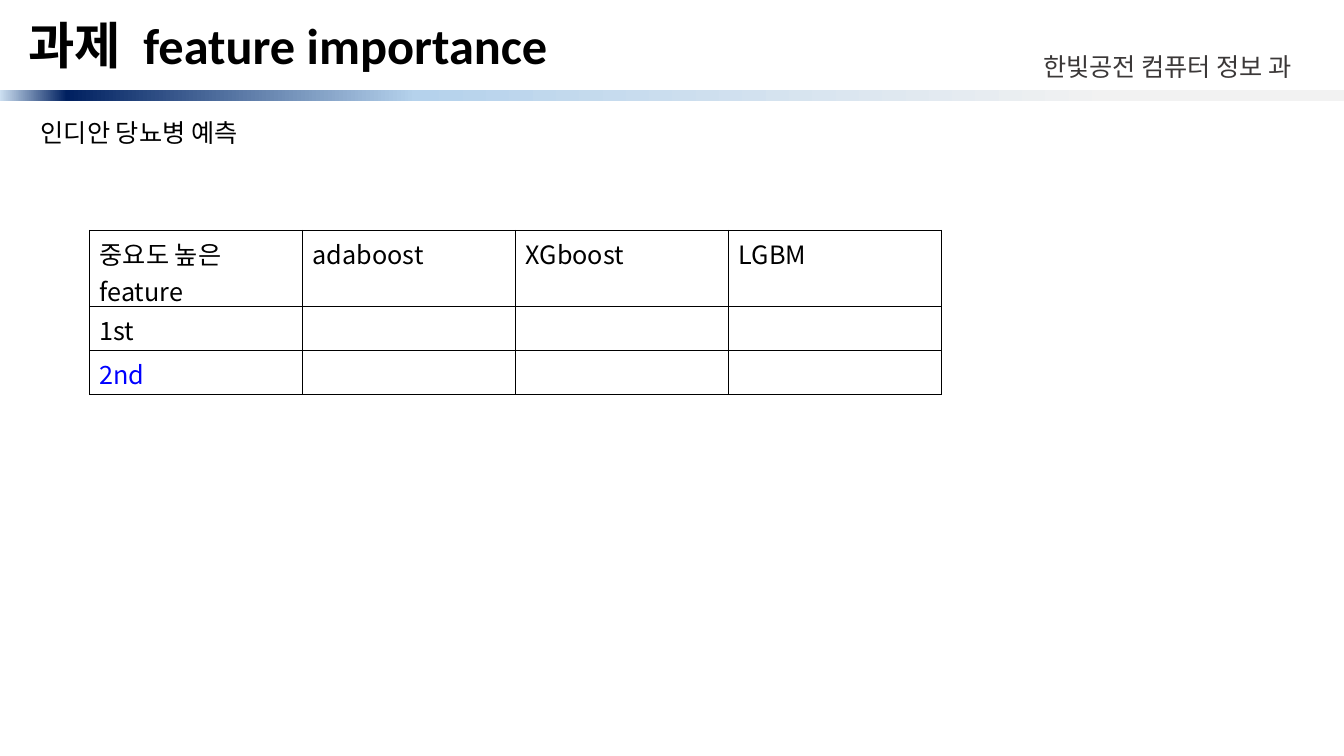
from dataclasses import dataclass

import lxml.etree
import pptx
import pptx.dml.color
import pptx.enum.shapes
import pptx.enum.text
import pptx.oxml
import pptx.oxml.ns
import pptx.util

Pt = pptx.util.Pt
RGB = pptx.dml.color.RGBColor.from_string
qn = pptx.oxml.ns.qn


@dataclass(frozen=True)
class Theme:
    white: str = "FFFFFF"
    ink: str = "000000"
    muted: str = "3B3838"
    accent: str = "0000FF"
    band: tuple = ((17, "F2F2F2"), (69, "B5D2EC"), (95, "002060"), (100, "CEE1F2"))
    title_size: int = 36
    body_size: int = 18
    title_font: str = "Calibri"
    header_font: str = "Arial"
    body_font: str = "Noto Sans CJK KR"


theme = Theme()


def style(paragraph, font, size, color, bold=False):
    paragraph.font.name = font
    paragraph.font.size = Pt(size)
    paragraph.font.color.rgb = RGB(color)
    paragraph.font.bold = bold


def add_label(left, top, width, height):
    """Add an empty wrapping text box and return its frame."""
    frame = slide.shapes.add_textbox(Pt(left), Pt(top), Pt(width), Pt(height)).text_frame
    frame.word_wrap = True
    return frame


deck = pptx.Presentation()
deck.slide_width, deck.slide_height = Pt(960), Pt(540)
slide = deck.slides.add_slide(deck.slide_layouts[6])
rectangle = pptx.enum.shapes.MSO_SHAPE.RECTANGLE

# Header
corner = slide.shapes.add_shape(rectangle, Pt(816.5), Pt(10), Pt(136), Pt(29))
corner.shadow.inherit = False
corner.fill.solid()
corner.fill.fore_color.rgb = RGB(theme.white)
corner.line.color.rgb = RGB(theme.white)
corner.line.width = Pt(1)

band = slide.shapes.add_shape(rectangle, Pt(-0.5), Pt(64), Pt(960.5), Pt(8.5))
band.shadow.inherit = False
band.line.fill.background()
band.fill.gradient()
band.fill.gradient_angle = 180
stops = band.element.spPr.find(".//" + qn("a:gsLst"))
for stop in list(stops):
    stops.remove(stop)
for position, color in theme.band:
    stop = lxml.etree.SubElement(stops, qn("a:gs"), pos=str(position * 1000))
    lxml.etree.SubElement(stop, qn("a:srgbClr"), val=color)

department = add_label(738, 33, 215, 29)
department.text = "한빛공전 컴퓨터 정보 과"
style(department.paragraphs[0], theme.header_font, theme.body_size, theme.muted)

title = add_label(8.5, 7, 951.5, 55.5)
title.margin_left = Pt(11.5)
title.vertical_anchor = pptx.enum.text.MSO_ANCHOR.MIDDLE
heading = title.paragraphs[0]
heading.line_spacing = 0.9
for part in ("과제", " ", "feature importance"):
    run = heading.add_run()
    run.text = part
    if part == " ":
        run.font.size = Pt(theme.title_size)
        run.font.bold = True
        run.font.name = theme.title_font
        run.font.color.rgb = RGB(theme.ink)
        run._r.get_or_add_rPr().set("spc", "800")  # widens the gap
style(heading, theme.title_font, theme.title_size, theme.ink, bold=True)

# Body
topic = add_label(22, 80.5, 179, 29)
topic.text = "인디안 당뇨병 예측"
style(topic.paragraphs[0], theme.body_font, theme.body_size, theme.ink)

rows = [
    ("중요도 높은\nfeature", "adaboost", "XGboost", "LGBM"),
    ("1st", "", "", ""),
    ("2nd", "", "", ""),
]
row_heights = (54, 31.5, 31.5)
column_width = 152.2
ranking = slide.shapes.add_table(
    len(rows), len(rows[0]), Pt(64), Pt(164.7),
    Pt(column_width * len(rows[0])), Pt(sum(row_heights)),
).table
ranking.first_row = ranking.horz_banding = False
for column in ranking.columns:
    column.width = Pt(column_width)
for row, height in zip(ranking.rows, row_heights):
    row.height = Pt(height)

for r, texts in enumerate(rows):
    for c, text in enumerate(texts):
        cell = ranking.cell(r, c)
        cell.text = text
        for paragraph in cell.text_frame.paragraphs:
            color = theme.accent if text == "2nd" else theme.ink
            style(paragraph, theme.body_font, theme.body_size, color)
        properties = cell._tc.get_or_add_tcPr()
        for side in ("a:lnL", "a:lnR", "a:lnT", "a:lnB"):
            border = lxml.etree.SubElement(properties, qn(side), w=str(Pt(1)))
            paint = lxml.etree.SubElement(border, qn("a:solidFill"))
            lxml.etree.SubElement(paint, qn("a:srgbClr"), val=theme.ink)
        cell.fill.background()

deck.save("out.pptx")
